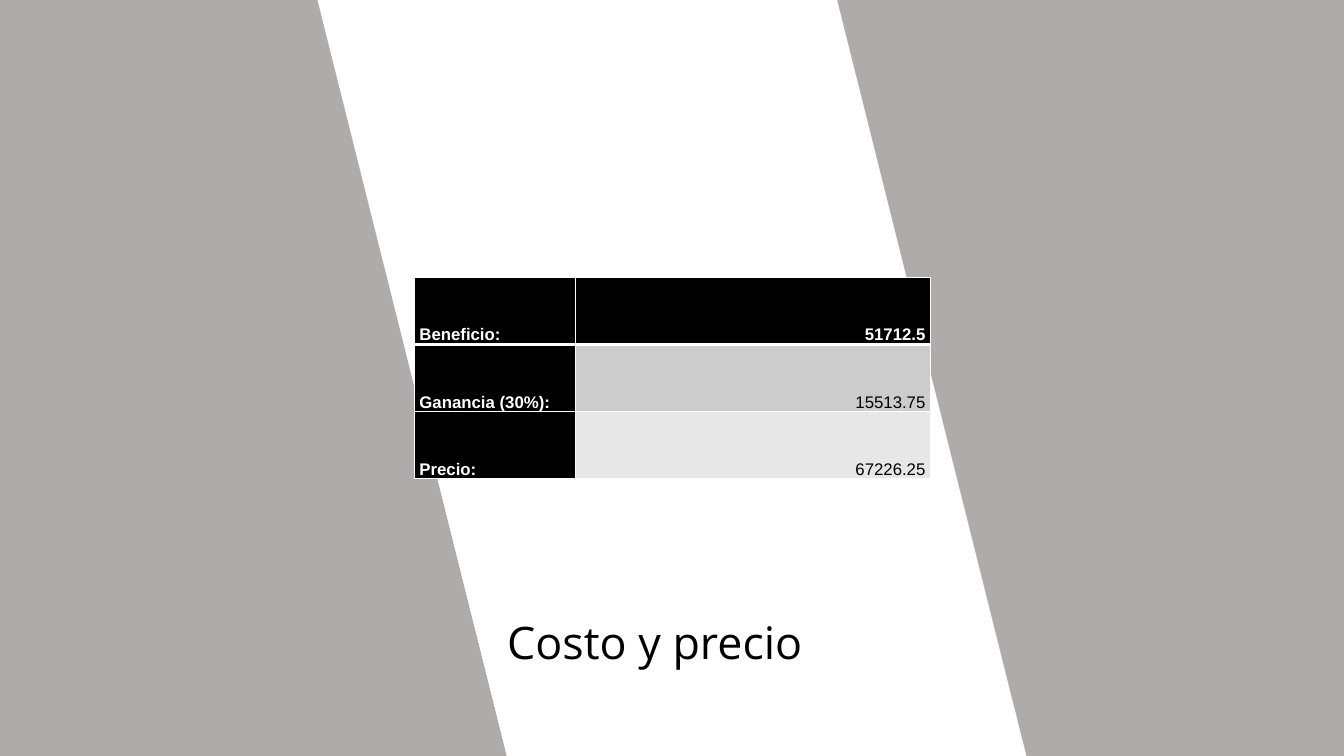
import pptx
import pptx.util
import pptx.dml.color
import pptx.enum.shapes
import pptx.enum.text
import pptx.oxml
import pptx.oxml.ns

Inches = pptx.util.Inches
Pt = pptx.util.Pt
Shape = pptx.enum.shapes.MSO_SHAPE
Align = pptx.enum.text.PP_ALIGN
Anchor = pptx.enum.text.MSO_ANCHOR


def paint(fill, color):
    fill.solid()
    fill.fore_color.rgb = pptx.dml.color.RGBColor.from_string(color)


def edge(cell, side, width):
    line = pptx.oxml.parse_xml(
        f'<a:ln{side} {pptx.oxml.ns.nsdecls("a")} w="{Pt(width)}">'
        f'<a:solidFill><a:srgbClr val="FFFFFF"/></a:solidFill></a:ln{side}>')
    cell._tc.get_or_add_tcPr().append(line)


deck = pptx.Presentation()
deck.slide_width = Inches(13.33)
deck.slide_height = Inches(7.5)
slide = deck.slides.add_slide(deck.slide_layouts[5])
shapes = slide.shapes

back = shapes.add_shape(Shape.RECTANGLE, 0, 0, deck.slide_width, deck.slide_height)
band = shapes.add_shape(Shape.PARALLELOGRAM, Inches(3.15), 0, Inches(7.03), Inches(7.5))
band.adjustments[0] = 0.267
band._element.spPr.find(pptx.oxml.ns.qn("a:xfrm")).set("flipH", "1")
for shape, color in ((back, "AFABAB"), (band, "FFFFFF")):
    shape.shadow.inherit = False
    shape.line.fill.background()
    paint(shape.fill, color)

title = shapes.title
band._element.addnext(title._element)
title.left, title.top = Inches(4.93), Inches(6.05)
title.width, title.height = Inches(4.45), Inches(0.64)
frame = title.text_frame
frame.text = "Costo y precio"
frame.word_wrap = True
frame.auto_size = pptx.enum.text.MSO_AUTO_SIZE.SHAPE_TO_FIT_TEXT
frame.vertical_anchor = Anchor.TOP
para = frame.paragraphs[0]
para.alignment = Align.LEFT
font = para.runs[0].font
font.name, font.size = "Open Sans", Pt(32)
paint(font.fill, "000000")

rows = (
    ("Beneficio:", "51712.5", "000000"),
    ("Ganancia (30%):", "15513.75", "CCCCCC"),
    ("Precio:", "67226.25", "E7E7E7"),
)
table = shapes.add_table(3, 2, Inches(4.11), Inches(2.75), Inches(5.12), Inches(2)).table
for col, width in zip(table.columns, (1.6, 3.52)):
    col.width = Inches(width)

for r, (label, value, shade) in enumerate(rows):
    table.rows[r].height = Inches(2 / 3)
    for c, text in enumerate((label, value)):
        cell = table.cell(r, c)
        cell.margin_left = cell.margin_right = Inches(0.05)
        cell.margin_top = cell.margin_bottom = 0
        cell.vertical_anchor = Anchor.BOTTOM
        cell.text_frame.text = text
        para = cell.text_frame.paragraphs[0]
        para.alignment = Align.RIGHT if c else Align.JUSTIFY
        para.line_spacing = 1.07
        para.space_after = Pt(8)
        head = r == 0 or c == 0
        font = para.runs[0].font
        font.name, font.size, font.bold = "Arial", Pt(12), head
        paint(font.fill, "FFFFFF" if head else "000000")
        edge(cell, "L", 1)
        edge(cell, "R", 1)
        edge(cell, "T", 3 if r == 1 else 1)
        edge(cell, "B", 3 if r == 0 else 1)
        paint(cell.fill, shade if c else "000000")

deck.save("out.pptx")
